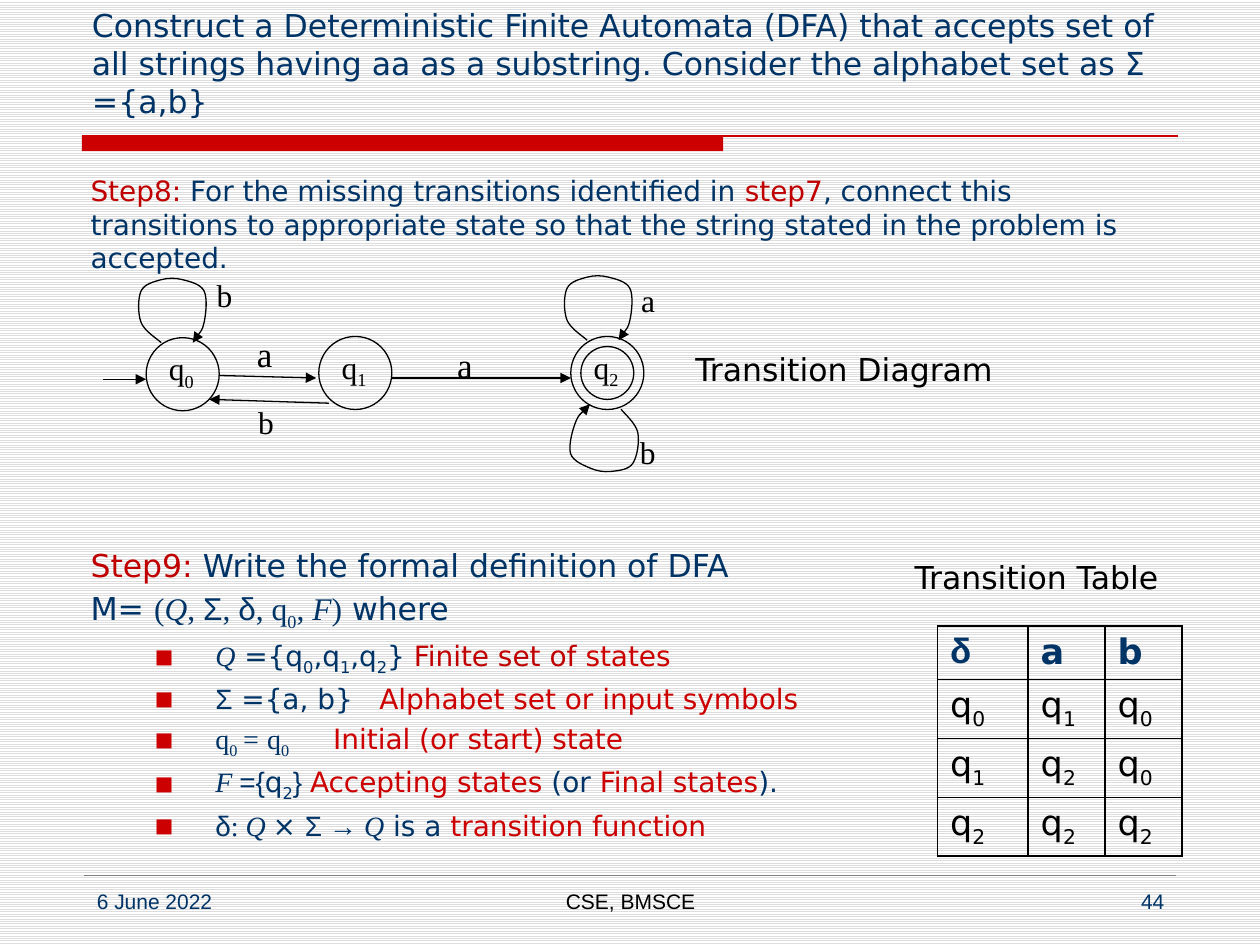
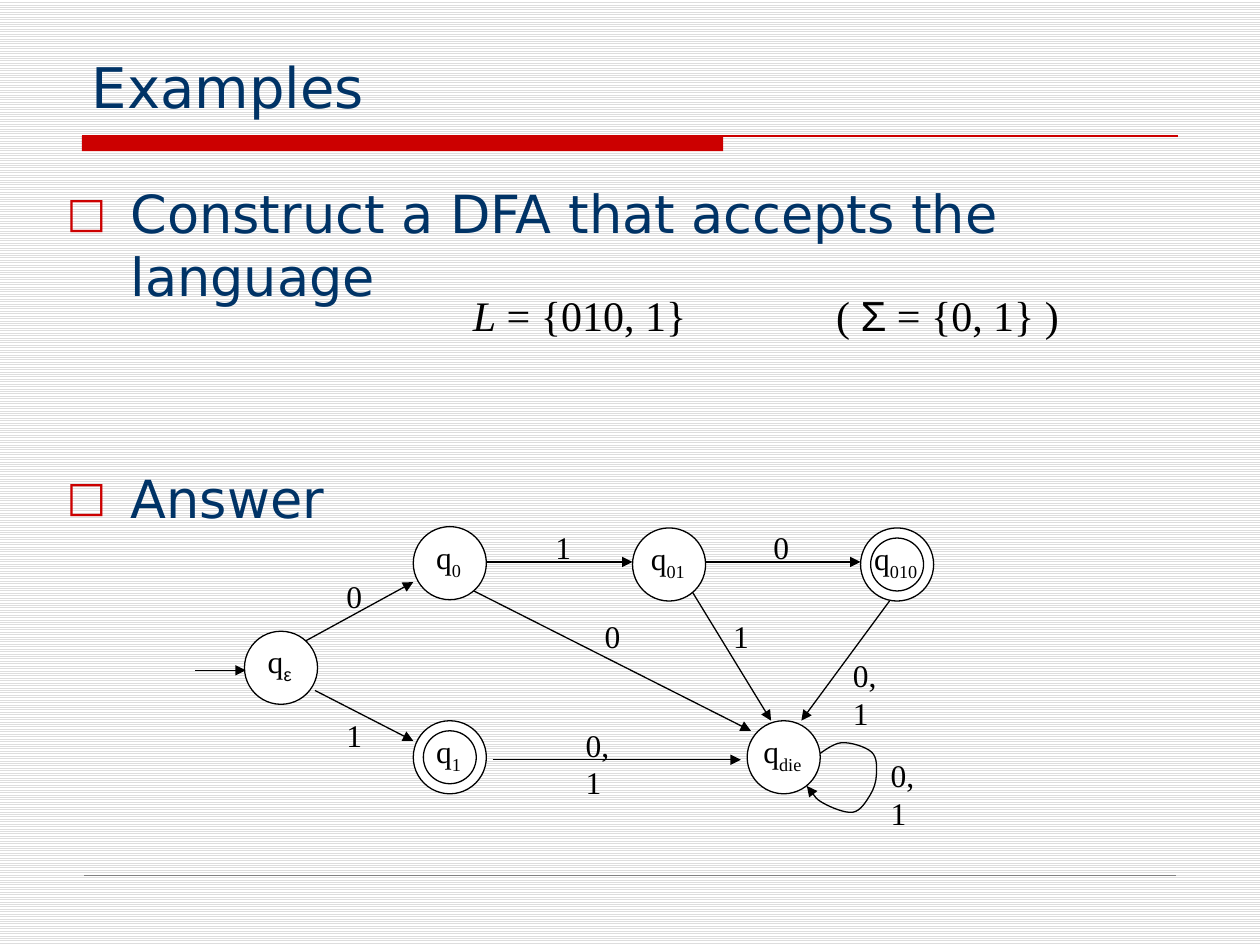
from collections import namedtuple

from lxml import etree
from pptx import Presentation
from pptx.dml.color import RGBColor
from pptx.enum.dml import MSO_PATTERN
from pptx.enum.shapes import MSO_CONNECTOR, MSO_SHAPE
from pptx.enum.text import MSO_ANCHOR, MSO_AUTO_SIZE, PP_ALIGN
from pptx.oxml.ns import qn
from pptx.util import Inches, Pt

NAVY = RGBColor(0x00, 0x33, 0x66)
RED = RGBColor(0xCC, 0x00, 0x00)
DARK_RED = RGBColor(0xC0, 0x00, 0x00)
BLACK = RGBColor(0x00, 0x00, 0x00)
WHITE = RGBColor(0xFF, 0xFF, 0xFF)
STRIPE = RGBColor(0xDD, 0xDD, 0xDD)
GRAY = RGBColor(0x80, 0x80, 0x80)

SANS = "DejaVu Sans"
SERIF = "Times New Roman"
ARIAL = "Arial"

LEFT, CENTER, RIGHT = PP_ALIGN.LEFT, PP_ALIGN.CENTER, PP_ALIGN.RIGHT
STRIPES = MSO_PATTERN.LIGHT_HORIZONTAL
STRAIGHT = MSO_CONNECTOR.STRAIGHT
OVAL, RECTANGLE = MSO_SHAPE.OVAL, MSO_SHAPE.RECTANGLE

SLIDE_COLUMNS, SLIDE_ROWS = 10, 7.5
CELL = Inches(1)
TITLE_ONLY = 5
STATE_SIZE = 0.58
RING_GAP = 0.08
LOOP_POINTS = [(0.19, 0.51), (0.03, 0.35), (0.03, 0.10), (0.19, 0.01),
               (0.36, 0.01), (0.53, 0.10), (0.53, 0.35), (0.44, 0.51)]

Run = namedtuple("Run", "text font color italic spacing",
                 defaults=(None, None, None, None))
Bullet = namedtuple("Bullet", "symbol margin hanging percent")
SQUARE = Bullet("■", 0.99, 0.48, 70)
BOX = Bullet("□", 0.51, 0.51, 80)


def place(*cells):
    """Turn grid columns and rows into lengths."""
    return [round(cell * CELL) for cell in cells]


def serif(text, italic=None):
    """Return a run in the formula font."""
    return Run(text, SERIF, italic=italic)


def arial(text):
    """Return a run in Arial, used for Greek letters."""
    return Run(text, ARIAL)


def red(text):
    """Return a highlighted run."""
    return Run(text, color=RED)


def dark_red(text):
    """Return a run in the step colour."""
    return Run(text, color=DARK_RED)


def space(points):
    """Return one space widened by the given points."""
    return Run(" ", spacing=points)


def add_bullet(paragraph, bullet):
    """Give a paragraph a red bullet and a hanging indent."""
    properties = paragraph._p.get_or_add_pPr()
    margin, hanging = place(bullet.margin, bullet.hanging)
    properties.set("marL", str(margin))
    properties.set("indent", str(-hanging))
    color = etree.SubElement(properties, qn("a:buClr"))
    etree.SubElement(color, qn("a:srgbClr"), val=str(RED))
    etree.SubElement(properties, qn("a:buSzPct"), val=str(bullet.percent * 1000))
    etree.SubElement(properties, qn("a:buFont"), typeface=SANS)
    etree.SubElement(properties, qn("a:buChar"), char=bullet.symbol)


def write(paragraph, runs, size, font=SANS, color=NAVY, align=LEFT,
          before=0, bullet=None, bold=False):
    """Fill a paragraph; text between tildes is set as a subscript."""
    if bullet:
        add_bullet(paragraph, bullet)
    paragraph.alignment = align
    paragraph.space_before = Pt(before)
    paragraph.font.size = Pt(size)
    paragraph.font.name = font
    paragraph.font.color.rgb = color
    paragraph.font.bold = bold
    for part in [Run(runs)] if isinstance(runs, str) else runs:
        for index, text in enumerate(part.text.split("~")):
            if not text:
                continue
            run = paragraph.add_run()
            run.text = text
            if part.font:
                run.font.name = part.font
            if part.color is not None:
                run.font.color.rgb = part.color
            if part.italic:
                run.font.italic = True
            if index % 2:
                run.font._element.set("baseline", "-25000")
            if part.spacing:
                run.font._element.set("spc", str(part.spacing * 100))


def add_text_box(slide, box, margin=0.1):
    """Add an empty wrapping text box and return its frame."""
    frame = slide.shapes.add_textbox(*place(*box)).text_frame
    frame.word_wrap = True
    frame.margin_left = frame.margin_right = place(margin)[0]
    return frame


def add_text(slide, box, runs, size, margin=0.1, **style):
    """Add a text box with one paragraph."""
    write(add_text_box(slide, box, margin).paragraphs[0], runs, size, **style)


def add_body(slide, box, paragraphs):
    """Add a text box with one paragraph for each (runs, size, before, bullet)."""
    frame = add_text_box(slide, box)
    for index, (runs, size, before, bullet) in enumerate(paragraphs):
        paragraph = frame.add_paragraph() if index else frame.paragraphs[0]
        write(paragraph, runs, size, before=before, bullet=bullet)


def add_label(slide, left, top, text, size=18):
    """Add the input symbols of a transition."""
    width = 0.56 if len(text) > 1 else 0.32
    add_text(slide, (left, top, width, 0.4), text, size, font=SERIF, color=BLACK)


def style_line(shape, color=BLACK, width=0.75, arrow=False):
    """Set the line of a shape, with an arrowhead at its end if asked."""
    shape.line.color.rgb = color
    shape.line.width = Pt(width)
    if arrow:
        etree.SubElement(shape.line._get_or_add_ln(), qn("a:tailEnd"), type="triangle")


def add_line(slide, start, end, **style):
    """Add a straight connector without shadow."""
    line = slide.shapes.add_connector(STRAIGHT, *place(*start, *end))
    style_line(line, **style)
    etree.SubElement(line._element.spPr, qn("a:effectLst"))
    return line


def add_circle(slide, left, top, size, fill=None):
    """Add an outlined circle."""
    circle = slide.shapes.add_shape(OVAL, *place(left, top, size, size))
    circle.shadow.inherit = False
    if fill is None:
        circle.fill.background()
    else:
        circle.fill.solid()
        circle.fill.fore_color.rgb = fill
    style_line(circle)


def add_state(slide, left, top, name, final=False, fill=None):
    """Add a state named q with a subscript, ringed twice when it is final."""
    add_circle(slide, left, top, STATE_SIZE, fill)
    if final:
        add_circle(slide, left + RING_GAP, top + RING_GAP, STATE_SIZE - 2 * RING_GAP)
    width = 0.32 + 0.08 * len(name)
    subscript = Run(f"~{name}~", ARIAL if name == "ε" else None)
    add_text(slide, (left + (STATE_SIZE - width) / 2 - 0.01, top + 0.04, width, 0.4),
             [Run("q"), subscript], 18, margin=0, font=SERIF, color=BLACK, align=CENTER)


def smooth_outline(shape):
    """Turn the straight segments of a freeform into smooth curves."""
    outline = next(shape._element.iter(qn("a:path")))
    knots = [(int(point.get("x")), int(point.get("y")))
             for point in outline.iter(qn("a:pt"))]
    knots = [knots[0], *knots, knots[-1]]
    for index, segment in enumerate(outline.findall(qn("a:lnTo"))):
        before, start, end, after = knots[index:index + 4]
        controls = [[s + (e - b) / 6 for b, s, e in zip(before, start, end)],
                    [e - (a - s) / 6 for s, e, a in zip(start, end, after)]]
        segment.tag = qn("a:cubicBezTo")
        for position, (x, y) in enumerate(controls):
            point = etree.Element(qn("a:pt"), x=str(round(x)), y=str(round(y)))
            segment.insert(position, point)


def add_loop(slide, left, top, rotation=0):
    """Add a curved arrow from a state back to itself."""
    points = [place(left + x, top + y) for x, y in LOOP_POINTS]
    builder = slide.shapes.build_freeform(*points[0])
    builder.add_line_segments(points[1:], close=False)
    loop = builder.convert_to_shape()
    smooth_outline(loop)
    loop.shadow.inherit = False
    loop.fill.background()
    style_line(loop, arrow=True)
    loop.rotation = rotation


def add_borders(cell):
    """Draw a black line on each side of a table cell."""
    properties = cell._tc.get_or_add_tcPr()
    for side in ("lnL", "lnR", "lnT", "lnB"):
        line = etree.SubElement(properties, qn(f"a:{side}"), w=str(Pt(1)))
        fill = etree.SubElement(line, qn("a:solidFill"))
        etree.SubElement(fill, qn("a:srgbClr"), val=str(BLACK))


def add_transition_table(slide, box, widths, rows):
    """Add the transition table with a bold header row."""
    table = slide.shapes.add_table(len(rows), len(widths), *place(*box)).table
    table.first_row = table.horz_banding = False
    for column, width in zip(table.columns, place(*widths)):
        column.width = width
    for row_index, row in enumerate(rows):
        header = row_index == 0
        for column_index, text in enumerate(row):
            cell = table.cell(row_index, column_index)
            add_borders(cell)
            cell.fill.background()
            cell.margin_top = cell.margin_bottom = Pt(3.2)
            write(cell.text_frame.paragraphs[0], text, 20,
                  font=ARIAL if text == "δ" else SANS,
                  color=NAVY if header else BLACK, bold=header)


def decorate_layout(layout, slide):
    """Give the layout its stripes, red band and rules, drawn by way of a slide."""
    background = layout.background.fill
    background.patterned()
    background.pattern = STRIPES
    background.fore_color.rgb = STRIPE
    background.back_color.rgb = WHITE
    band = slide.shapes.add_shape(RECTANGLE, *place(0.65, 1.08, 5.09, 0.12))
    band.shadow.inherit = False
    band.fill.solid()
    band.fill.fore_color.rgb = RED
    band.line.fill.background()
    title_rule = add_line(slide, (0.65, 1.08), (9.35, 1.08), color=RED)
    footer_rule = add_line(slide, (0.67, 6.95), (9.33, 6.95), color=GRAY, width=0.25)
    tree = layout.shapes._spTree
    for shape in (band, title_rule, footer_rule):
        tree.append(shape._element)
    for number, properties in enumerate(tree.iter(qn("p:cNvPr")), 1):
        properties.set("id", str(number))


def add_slide(presentation, title, title_size):
    """Add a title-only slide and set its title."""
    slide = presentation.slides.add_slide(presentation.slide_layouts[TITLE_ONLY])
    heading = slide.shapes.title
    heading.left, heading.top, heading.width, heading.height = place(0.63, 0.17, 8.75, 0.83)
    frame = heading.text_frame
    frame.word_wrap = True
    frame.auto_size = MSO_AUTO_SIZE.NONE
    frame.vertical_anchor = MSO_ANCHOR.BOTTOM
    write(frame.paragraphs[0], title, title_size)
    return slide


def add_footer(slide, date, department, number):
    """Add the date, department and slide number."""
    add_text(slide, (0.67, 7, 2.17, 0.35), date, 12, font=ARIAL)
    add_text(slide, (3.42, 7, 3.17, 0.35), department, 12, font=ARIAL, color=BLACK, align=CENTER)
    add_text(slide, (7.17, 7, 2.17, 0.35), number, 12, font=ARIAL, align=RIGHT)


def build_substring_slide(presentation):
    """Build the slide on strings that contain aa."""
    slide = add_slide(presentation, "Construct a Deterministic Finite Automata (DFA) that accepts "
                      "set of all strings having aa as a substring. Consider the alphabet "
                      "set as Σ ={a,b}", 18)
    decorate_layout(slide.slide_layout, slide)
    definitions = [
        [serif("Q", True), Run(" ={q~0~,q~1~,q~2~} "), dark_red("Finite set of "), red("states")],
        [arial("Σ"), Run(" ={a, b}"), space(10), red("Alphabet set or input symbols")],
        [serif("q~0 ~"), serif("= ", True), serif("q~0~"), space(20),
         red("Initial (or start) state")],
        [serif("F ", True), arial("={"), Run("q~2~"), arial("} "), red("Accepting states"),
         Run(" (or "), red("Final states"), Run(").")],
        [arial("δ"), serif(": "), serif("Q ", True), Run("× "), arial("Σ"), serif(" → "),
         serif("Q", True), Run(" is a "), red("transition function")],
    ]
    add_body(slide, (0.62, 1.33, 8.75, 5.5), [
        ([dark_red("Step8: "), Run("For the missing transitions identified in "),
          dark_red("step7"), Run(", connect this transitions to appropriate state so that "
                                 "the string stated in the problem is accepted.")], 16, 0, None),
        ([dark_red("Step9: "), Run("Write the formal definition of DFA")], 18, 155, None),
        ([Run("M= "), serif("("), serif("Q", True), serif(", "), arial("Σ"), serif(", "),
          arial("δ"), serif(", q~0~, "), serif("F", True), serif(")"), Run(" where")],
         18, 3.4, None),
        *((runs, 16, 3.2, SQUARE) for runs in definitions)])
    add_footer(slide, "6 June 2022", "CSE, BMSCE", "44")
    add_transition_table(slide, (7.44, 4.97, 1.94, 1.64), (0.72, 0.61, 0.61), [
        ("δ", "a", "b"), ("q~0~", "q~1~", "q~0~"),
        ("q~1~", "q~2~", "q~0~"), ("q~2~", "q~2~", "q~2~")])
    add_text(slide, (5.42, 2.73, 2.59, 0.4), "Transition Diagram", 18, color=BLACK)
    add_text(slide, (7.16, 4.38, 2.18, 0.4), "Transition Table", 18, color=BLACK)
    add_state(slide, 1.16, 2.68, "0")
    add_state(slide, 2.53, 2.67, "1")
    add_state(slide, 4.53, 2.67, "2", final=True)
    for start, end in [((0.82, 3.01), (1.16, 3.01)), ((1.74, 2.98), (2.51, 3)),
                       ((3.11, 3), (4.53, 3)), ((2.61, 3.2), (1.66, 3.17))]:
        add_line(slide, start, end, arrow=True)
    for loop in [(1.09, 2.21), (4.47, 2.19), (4.52, 3.22, 189)]:
        add_loop(slide, *loop)
    for label in [(1.94, 2.59, "a", 20), (3.53, 2.68, "a", 20), (4.99, 2.18, "a"),
                  (1.62, 2.14, "b"), (1.95, 3.15, "b"), (4.98, 3.39, "b")]:
        add_label(slide, *label)


def build_language_slide(presentation):
    """Build the slide on the language of 010 and 1."""
    slide = add_slide(presentation, "Examples", 32)
    add_loop(slide, 6.41, 5.9, 107.3)
    for start, end in [((1.55, 5.32), (1.95, 5.32)), ((2.42, 5.09), (3.28, 4.62)),
                       ((2.5, 5.48), (3.28, 5.88)), ((3.84, 4.46), (5.02, 4.46)),
                       ((5.57, 4.46), (6.83, 4.46)), ((3.91, 6.03), (5.88, 6.03)),
                       ((3.76, 4.69), (5.96, 5.8)), ((5.49, 4.69), (6.12, 5.72)),
                       ((7.06, 4.77), (6.36, 5.72))]:
        add_line(slide, start, end, arrow=True)
    add_body(slide, (0.43, 1.39, 9.14, 2.68), [
        ("Construct a DFA that accepts the language", 30, 0, BOX), ("Answer", 30, 90.5, BOX)])
    formulas = [[Run("L", italic=True), Run(" = {010, 1}")],
                [Run("( "), arial("Σ"), Run(" = {0, 1} )")]]
    for left, formula in zip((3.5, 6.42), formulas):
        add_text(slide, (left, 2.25, 2.2, 0.5), formula, 24, font=SERIF, color=BLACK, align=CENTER)
    for left, top, name, final in [(1.94, 5.01, "ε", False), (3.28, 4.18, "0", False),
                                   (3.28, 5.72, "1", True), (5.02, 4.19, "01", False),
                                   (6.83, 4.19, "010", True), (5.93, 5.72, "die", False)]:
        add_state(slide, left, top, name, final, WHITE)
    for label in [(2.65, 4.53, "0"), (2.65, 5.63, "1"), (4.31, 4.14, "1"), (6.04, 4.14, "0"),
                  (4.7, 4.85, "0"), (5.72, 4.85, "1"), (4.55, 5.71, "0, 1"),
                  (6.67, 5.16, "0, 1"), (6.97, 5.95, "0, 1")]:
        add_label(slide, *label)


def main():
    """Build and save the presentation."""
    presentation = Presentation()
    presentation.slide_width, presentation.slide_height = place(SLIDE_COLUMNS, SLIDE_ROWS)
    build_substring_slide(presentation)
    build_language_slide(presentation)
    presentation.save("out.pptx")


if __name__ == "__main__":
    main()
